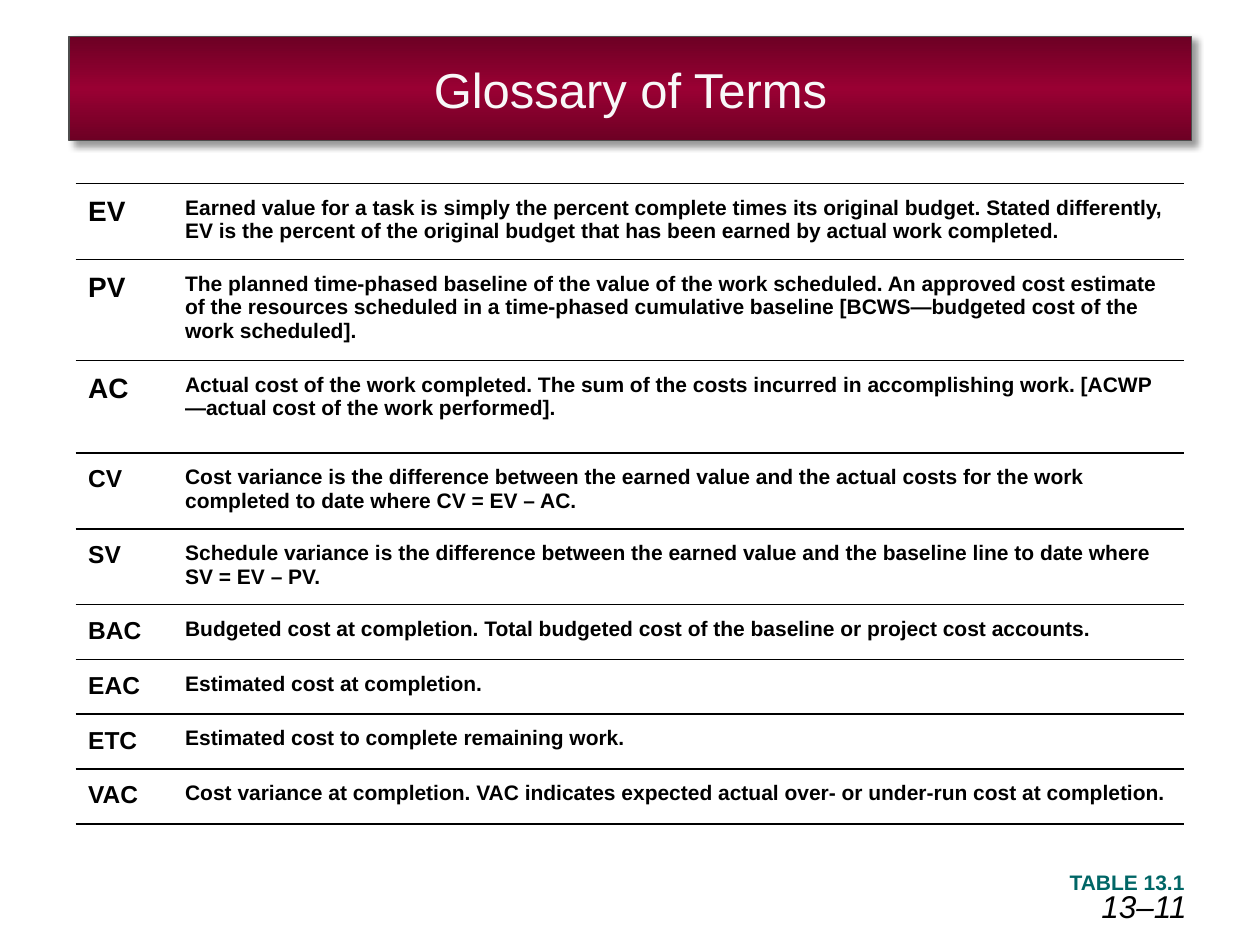
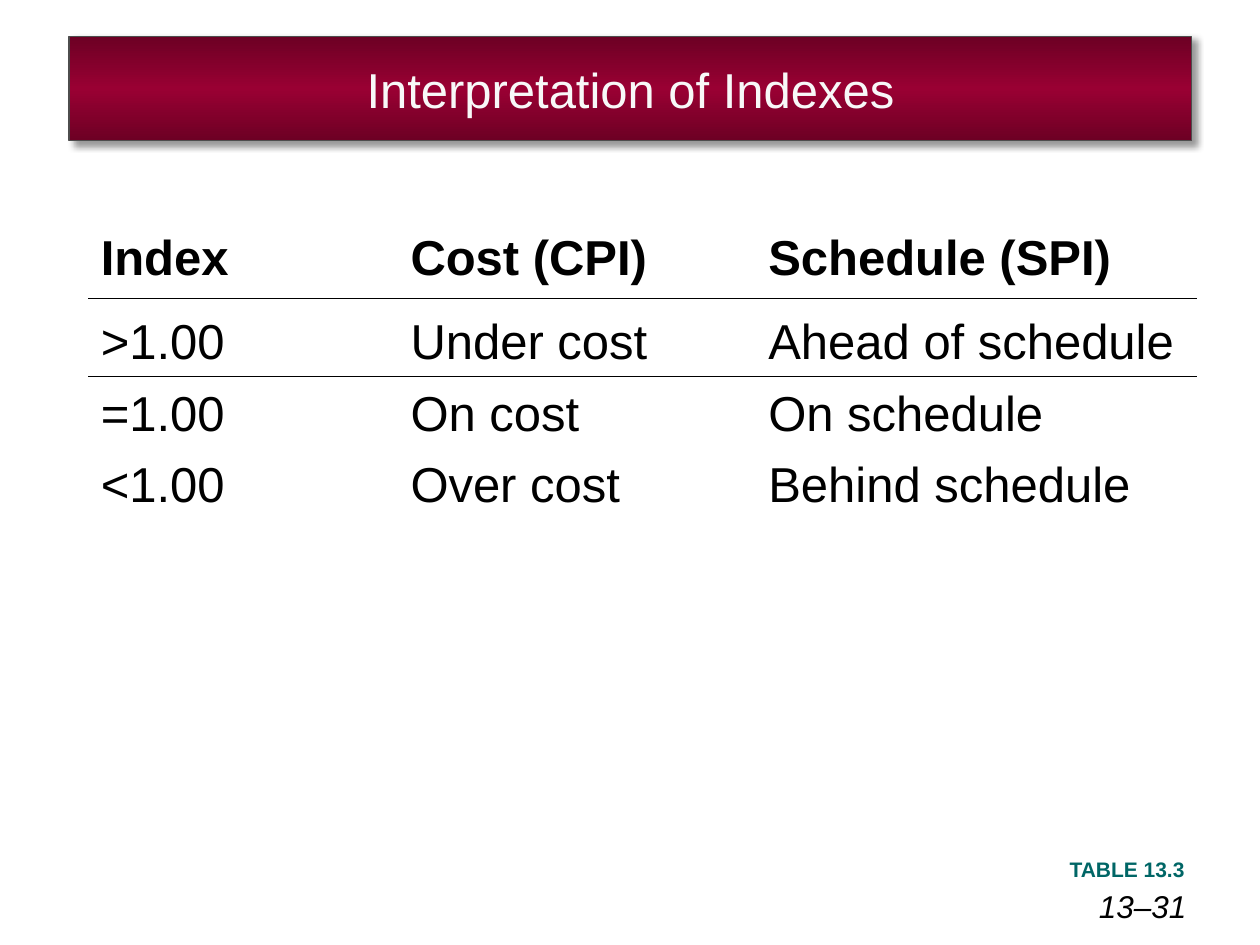
from lxml import etree
from pptx import Presentation
from pptx.dml.color import RGBColor
from pptx.enum.text import MSO_ANCHOR, MSO_AUTO_SIZE, PP_ALIGN
from pptx.oxml import parse_xml
from pptx.oxml.ns import nsdecls, qn
from pptx.util import Pt

TOP, MIDDLE, BOTTOM = MSO_ANCHOR.TOP, MSO_ANCHOR.MIDDLE, MSO_ANCHOR.BOTTOM
LEFT, CENTER, RIGHT = PP_ALIGN.LEFT, PP_ALIGN.CENTER, PP_ALIGN.RIGHT
NO_AUTOSIZE = MSO_AUTO_SIZE.NONE

BLACK = RGBColor(0x00, 0x00, 0x00)
GRAY = RGBColor(0x4D, 0x4D, 0x4D)
OFF_WHITE = RGBColor(0xF8, 0xF8, 0xF8)
TEAL = RGBColor(0x00, 0x66, 0x66)
CRIMSON = RGBColor(0x99, 0x00, 0x33)

FONT = "Arial"
TITLE_ONLY = 5
PLAIN_TABLE = "{2D5ABB26-0587-4C30-8999-92F81FD0307C}"

GLOSSARY = [
    # term, term size, row height, meaning
    ("EV", 16, 43.4, "Earned value for a task is simply the percent complete times its "
     "original budget. Stated differently, EV is the percent of the original budget that "
     "has been earned by actual work completed."),
    ("PV", 16, 57.4, "The planned time-phased baseline of the value of the work scheduled. "
     "An approved cost estimate of the resources scheduled in a time-phased cumulative "
     "baseline [BCWS—budgeted cost of the work scheduled]."),
    ("AC", 16, 52.9, "Actual cost of the work completed. The sum of the costs incurred in "
     "accomplishing work. [ACWP—actual cost of the work performed]."),
    ("CV", 14, 43.4, "Cost variance is the difference between the earned value and the "
     "actual costs for the work completed to date where CV = EV – AC."),
    ("SV", 14, 43.2, "Schedule variance is the difference between the earned value and the "
     "baseline line to date where SV = EV – PV."),
    ("BAC", 14, 31.3, "Budgeted cost at completion. Total budgeted cost of the baseline or "
     "project cost accounts."),
    ("EAC", 14, 31.3, "Estimated cost at completion."),
    ("ETC", 14, 31.3, "Estimated cost to complete remaining work."),
    ("VAC", 14, 31.3, "Cost variance at completion. VAC indicates expected actual over- or "
     "under-run cost at completion."),
]

INDEXES = [
    ("Index", "Cost (CPI)", "Schedule (SPI)"),
    (">1.00", "Under cost", "Ahead of schedule"),
    ("=1.00", "On cost", "On schedule"),
    ("<1.00", "Over cost", "Behind schedule"),
]


def write(tf, text, size, color=BLACK, bold=False, italic=False, align=LEFT):
    p = tf.paragraphs[0]
    p.text = text
    p.alignment = align
    font = p.font
    font.name, font.size = FONT, Pt(size)
    font.bold, font.italic = bold, italic
    font.color.rgb = color


def set_insets(tf, horizontal, vertical):
    tf.margin_left = tf.margin_right = Pt(horizontal)
    tf.margin_top = tf.margin_bottom = Pt(vertical)


def fill_band(shape):
    """Crimson gradient, dark at top and bottom, with a soft shadow."""
    shape.line.color.rgb = GRAY
    shape.line.width = Pt(0.75)
    edge = f'<a:srgbClr val="{CRIMSON}"><a:shade val="46275"/></a:srgbClr>'
    gradient = parse_xml(
        f'<a:gradFill {nsdecls("a")} rotWithShape="1"><a:gsLst>'
        f'<a:gs pos="0">{edge}</a:gs>'
        f'<a:gs pos="50000"><a:srgbClr val="{CRIMSON}"/></a:gs>'
        f'<a:gs pos="100000">{edge}</a:gs>'
        '</a:gsLst><a:lin ang="5400000" scaled="1"/></a:gradFill>')
    shadow = parse_xml(
        f'<a:effectLst {nsdecls("a")}><a:outerShdw blurRad="{Pt(4)}" dist="{Pt(3)}" '
        f'dir="2700000" algn="tl" rotWithShape="0"><a:srgbClr val="{BLACK}">'
        '<a:alpha val="40000"/></a:srgbClr></a:outerShdw></a:effectLst>')
    line = shape.line._get_or_add_ln()
    line.addprevious(gradient)
    line.addnext(shadow)


def add_title(s, text):
    title = s.shapes.title
    title.left, title.top, title.width, title.height = Pt(39.5), Pt(21), Pt(641.5), Pt(59.5)
    fill_band(title)
    tf = title.text_frame
    tf.auto_size = NO_AUTOSIZE
    tf.word_wrap = True
    tf.vertical_anchor = MIDDLE
    set_insets(tf, 7.2, 10.8)
    write(tf, text, 28, OFF_WHITE, align=CENTER)


def add_page_number(s, text):
    tf = s.shapes.add_textbox(Pt(511), Pt(516), Pt(167), Pt(12.5)).text_frame
    tf.word_wrap = True
    tf.vertical_anchor = BOTTOM
    set_insets(tf, 0, 0)
    write(tf, text, 18, italic=True, align=RIGHT)


def add_table_label(s, text, top):
    tf = s.shapes.add_textbox(Pt(583), Pt(top), Pt(101), Pt(21.6)).text_frame
    tf.word_wrap = True
    write(tf, text, 12, TEAL, bold=True, align=RIGHT)


def add_slide(prs, title, page, label, label_top):
    s = prs.slides.add_slide(prs.slide_layouts[TITLE_ONLY])
    add_page_number(s, page)
    add_title(s, title)
    add_table_label(s, label, label_top)
    return s


def add_plain_table(s, left, top, col_widths, row_heights):
    frame = s.shapes.add_table(len(row_heights), len(col_widths), Pt(left), Pt(top),
                               Pt(sum(col_widths)), Pt(sum(row_heights)))
    table = frame.table
    table.horz_banding = False
    table._tbl.tblPr.find(qn("a:tableStyleId")).text = PLAIN_TABLE
    for col, width in zip(table.columns, col_widths):
        col.width = Pt(width)
    for row, height in zip(table.rows, row_heights):
        row.height = Pt(height)
    return table


def add_rules(cell, *sides):
    """Draw 1 pt black borders; sides are 'T' and 'B', in that order."""
    tc_pr = cell._tc.get_or_add_tcPr()
    for i, side in enumerate(sides):
        ln = parse_xml(f'<a:ln{side} {nsdecls("a")} w="{Pt(1)}"/>')
        fill = etree.SubElement(ln, qn("a:solidFill"))
        etree.SubElement(fill, qn("a:srgbClr"), val=str(BLACK))
        tc_pr.insert(i, ln)


def fill_cell(cell, text, size, bold, anchor, top, bottom):
    cell.fill.background()
    cell.vertical_anchor = anchor
    cell.margin_left = cell.margin_right = Pt(7.2)
    cell.margin_top, cell.margin_bottom = Pt(top), Pt(bottom)
    write(cell.text_frame, text, size, bold=bold)


def add_glossary(s):
    table = add_plain_table(s, 43.2, 105, [55.4, 578.2], [row[2] for row in GLOSSARY])
    table.first_row = False
    for r, (term, size, _, meaning) in enumerate(GLOSSARY):
        for c, (text, text_size) in enumerate([(term, size), (meaning, 12)]):
            cell = table.cell(r, c)
            fill_cell(cell, text, text_size, True, TOP, 7.2, 7.2)
            add_rules(cell, "T", "B")


def add_indexes(s):
    table = add_plain_table(s, 50.4, 126, [177, 204.5, 252], [44.6, 44.6, 40.8, 40.8])
    margins = [(3.6, 7.2), (7.2, 3.6), (3.6, 3.6), (3.6, 3.6)]
    rules = {0: "B", 1: "T"}
    for r, row in enumerate(INDEXES):
        for c, text in enumerate(row):
            cell = table.cell(r, c)
            fill_cell(cell, text, 28, r == 0, BOTTOM, *margins[r])
            add_rules(cell, *rules.get(r, ""))


def main():
    prs = Presentation()
    prs.slide_width, prs.slide_height = Pt(720), Pt(540)
    add_glossary(add_slide(prs, "Glossary of Terms", "13–11", "TABLE 13.1", 493.2))
    add_indexes(add_slide(prs, "Interpretation of Indexes", "13–31", "TABLE 13.3", 486))
    prs.save("out.pptx")


if __name__ == "__main__":
    main()
